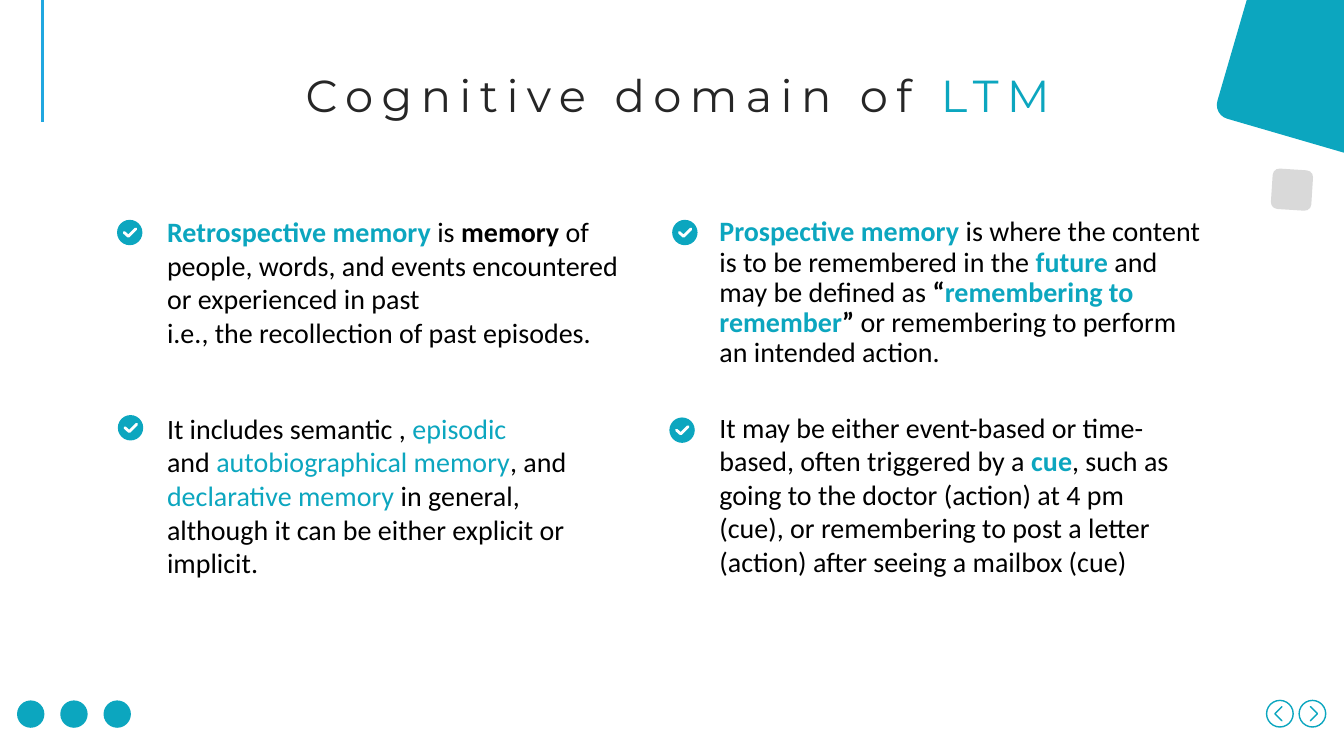
from pptx import Presentation
from pptx.dml.color import RGBColor
from pptx.enum import shapes, text
from pptx.oxml import ns, xmlchemy
from pptx.oxml import parse_xml
from pptx.util import Cm, Pt

TEAL = RGBColor(0x0C, 0xA6, 0xBF)
BLUE = RGBColor(0x20, 0xA7, 0xE0)
GREY = RGBColor(0xD9, 0xD9, 0xD9)
DARK = RGBColor(0x26, 0x26, 0x26)
BLACK = RGBColor(0, 0, 0)
WHITE = RGBColor(0xFF, 0xFF, 0xFF)

# A run is (text, colour, bold); a paragraph is a list of runs.
TITLE = [[("Cognitive domain of ", DARK, False), ("LTM", TEAL, False)]]

RETROSPECTIVE = [
    [("Retrospective memory ", TEAL, True), ("is ", BLACK, False),
     ("memory", BLACK, True),
     (" of people, words, and events encountered or experienced in past", BLACK, False)],
    [("i.e., the recollection of past episodes.", BLACK, False)],
]
INCLUDES = [
    [("It includes semantic ,", BLACK, False), (" episodic", TEAL, False)],
    [("and ", BLACK, False), ("autobiographical memory", TEAL, False),
     (", and ", BLACK, False), ("declarative memory ", TEAL, False),
     ("in general, although it can be either explicit or implicit.", BLACK, False)],
]
PROSPECTIVE = [
    [("Prospective memory ", TEAL, True),
     ("is where the content is to be remembered in the ", BLACK, False),
     ("future", TEAL, True), (" and may be defined as ", BLACK, False),
     ("“", BLACK, True), ("remembering to remember", TEAL, True), ("”", BLACK, True),
     (" or remembering to perform an intended action.", BLACK, False)],
]
TRIGGERS = [
    [("It may be either event-based or time-based, often triggered by a ", BLACK, False),
     ("cue", TEAL, True),
     (", such as going to the doctor (action) at 4 pm (cue), or remembering "
      "to post a letter (action) after seeing a mailbox (cue)", BLACK, False)],
]

# (paragraphs, text box in cm, badge corner in cm, line spacing, space before)
POINTS = [
    (RETROSPECTIVE, (3.96, 5.28, 12.01, 4.52), (2.95, 5.54), 1.0, 0),
    (INCLUDES, (3.96, 10.24, 11.2, 4.52), (2.97, 10.46), 1.0, 0),
    (PROSPECTIVE, (17.88, 5.36, 12.73, 4.42), (16.94, 5.54), 0.9, 10),
    (TRIGGERS, (17.88, 10.21, 12.42, 4.52), (16.87, 10.52), 1.0, 0),
]

# Strokes as fractions of the circle around them
TICK = [(0.28, 0.5), (0.45, 0.65), (0.74, 0.36)]
CHEVRONS = [
    [(0.57, 0.25), (0.32, 0.5), (0.57, 0.75)],
    [(0.43, 0.25), (0.68, 0.5), (0.43, 0.75)],
]

BADGE = 0.64
DOT, DOT_LEFT, DOT_TOP, DOT_PITCH = 0.69, 0.43, 17.65, 1.09
NAV, NAV_LEFT, NAV_TOP, NAV_PITCH = 0.71, 31.9, 17.63, 0.82
NAV_INSET = 0.02

prs = Presentation()
prs.slide_width, prs.slide_height = Cm(33.87), Cm(19.05)
slide = prs.slides.add_slide(prs.slide_layouts[6])


def add_solid(kind, left, top, size, fill, turn=0):
    solid = slide.shapes.add_shape(kind, Cm(left), Cm(top), Cm(size), Cm(size))
    solid.shadow.inherit = False
    solid.fill.solid()
    solid.fill.fore_color.rgb = fill
    solid.line.fill.background()
    solid.rotation = turn
    return solid


def add_stroke(left, top, size, fractions, color, width):
    """Draw an open, round-ended line through points inside a square."""
    points = [(Cm(left + x * size), Cm(top + y * size)) for x, y in fractions]
    builder = slide.shapes.build_freeform(*points[0])
    builder.add_line_segments(points[1:], close=False)
    stroke = builder.convert_to_shape()
    stroke.shadow.inherit = False
    stroke.fill.background()
    stroke.line.color.rgb = color
    stroke.line.width = Pt(width)
    stroke.element.spPr.find(ns.qn("a:ln")).set("cap", "rnd")


def add_words(paragraphs, box, font, size, wrap=True, align=text.PP_ALIGN.LEFT,
              line_spacing=1.0, before=0, tracking=0):
    frame = slide.shapes.add_textbox(*(Cm(v) for v in box)).text_frame
    frame.word_wrap = wrap
    for index, runs in enumerate(paragraphs):
        paragraph = frame.add_paragraph() if index else frame.paragraphs[0]
        paragraph.alignment = align
        paragraph.line_spacing = line_spacing
        paragraph.space_before = Pt(before)
        for words, color, bold in runs:
            run = paragraph.add_run()
            run.text = words
            run.font.name, run.font.size = font, Pt(size)
            run.font.bold = bold
            run.font.color.rgb = color
            if tracking:
                run.font._element.set("spc", str(tracking * 100))


margin_rule = slide.shapes.add_connector(
    shapes.MSO_CONNECTOR.STRAIGHT, Cm(1.08), 0, Cm(1.08), Cm(3.07))
margin_rule.line.color.rgb = BLUE
margin_rule.line.width = Pt(2.25)
margin_rule._element.spPr.append(
    parse_xml(f"<a:effectLst {ns.nsdecls('a')}/>"))

corner = add_solid(shapes.MSO_SHAPE.ROUNDED_RECTANGLE, 31.06, -0.48, 4.01, TEAL, 286.2)
corner.adjustments[0] = 0.09
add_solid(shapes.MSO_SHAPE.ROUNDED_RECTANGLE, 32.05, 4.27, 1.02, GREY, 3.7)

add_words(TITLE, (7.01, 1.57, 20.14, 1.63), "Montserrat", 32, wrap=False,
          align=text.PP_ALIGN.CENTER, tracking=6)

for paragraphs, box, (left, top), line_spacing, before in POINTS:
    add_solid(shapes.MSO_SHAPE.OVAL, left, top, BADGE, TEAL)
    add_stroke(left, top, BADGE, TICK, WHITE, 2)
    add_words(paragraphs, box, "Calibri", 20,
              line_spacing=line_spacing, before=before)

for index in range(3):
    add_solid(shapes.MSO_SHAPE.OVAL, DOT_LEFT + index * DOT_PITCH, DOT_TOP, DOT, TEAL)

for index, chevron in enumerate(CHEVRONS):
    left = NAV_LEFT + index * NAV_PITCH
    ring = add_solid(shapes.MSO_SHAPE.OVAL, left + NAV_INSET, NAV_TOP + NAV_INSET,
                     NAV - 2 * NAV_INSET, WHITE)
    ring.fill.background()
    ring.line.color.rgb = TEAL
    ring.line.width = Pt(1)
    add_stroke(left, NAV_TOP, NAV, chevron, TEAL, 1)

prs.save("out.pptx")
